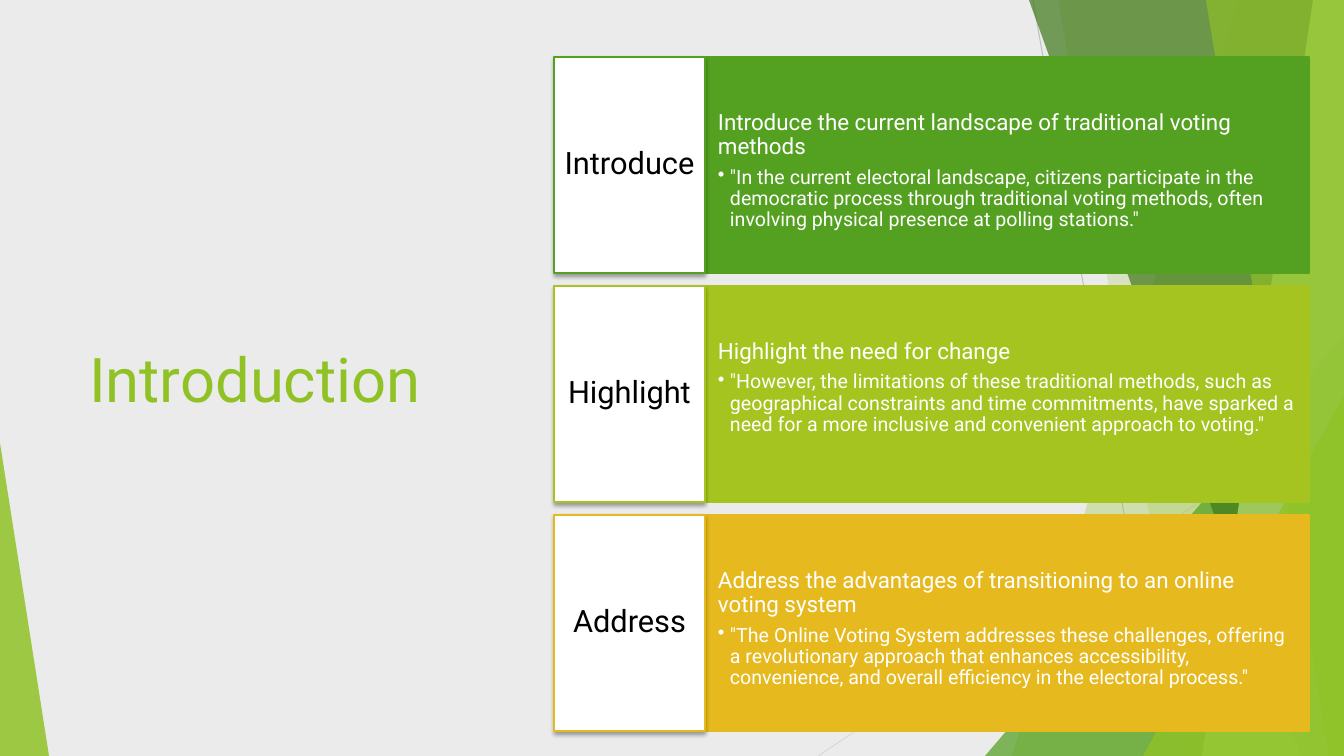
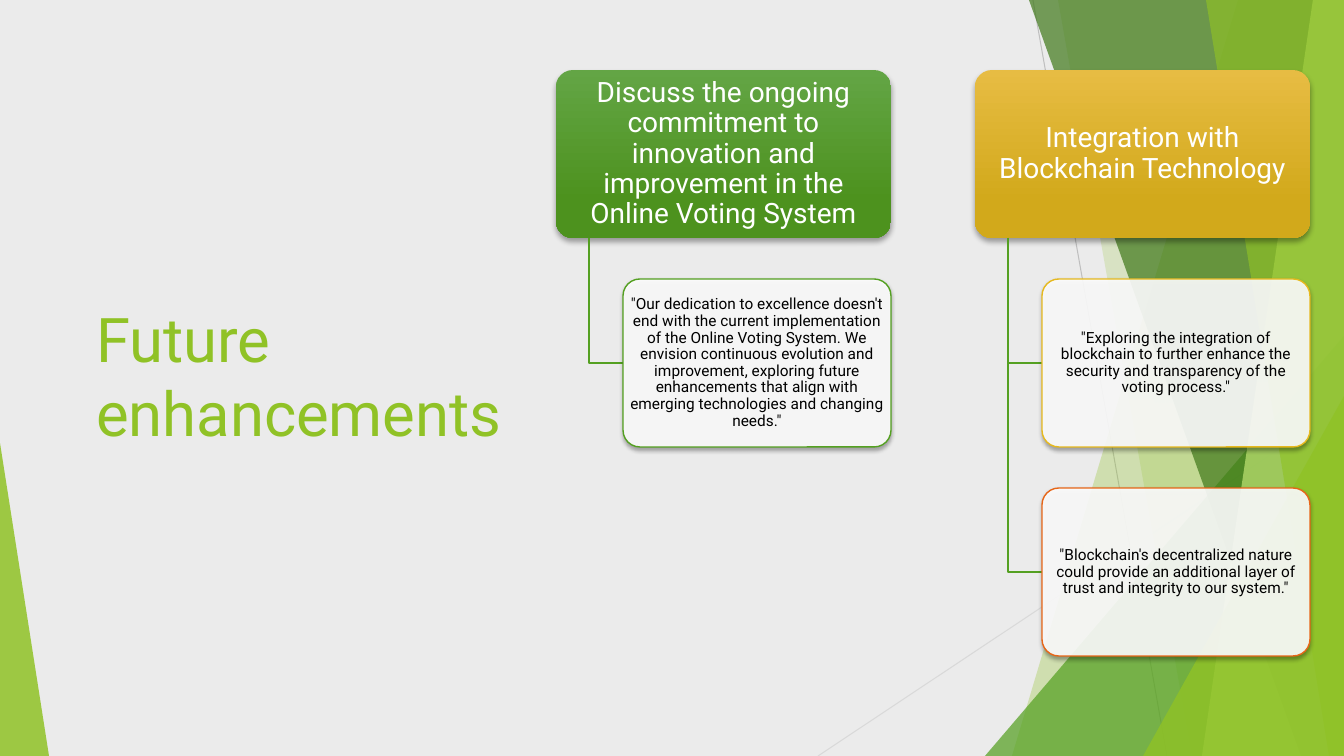
from lxml.etree import SubElement
from pptx import Presentation
from pptx.dml.color import RGBColor
from pptx.enum.shapes import MSO_CONNECTOR as LINK, MSO_SHAPE as SHAPE
from pptx.enum.text import MSO_ANCHOR as ANCHOR, MSO_AUTO_SIZE as FIT, PP_ALIGN as ALIGN
from pptx.oxml.ns import qn
from pptx.util import Pt

WIDTH, HEIGHT = 1344, 756
SCALE = 12192000 / WIDTH  # EMU in one px
FONT = "Roboto"
COLORS = {
    "paper": "EBEBEB", "white": "FFFFFF", "black": "000000",
    "leaf": "90C226", "green": "54A021", "forest": "3F7819", "mint": "C0E474",
    "lime": "A5C41F", "gold": "E6B91E", "orange": "E76618",
    "green top": "63A545", "green bottom": "4D921E",
    "gold top": "E7BC43", "gold bottom": "D2A91B",
    "line dark": "BFBFBF", "line light": "D9D9D9",
}
RGB = {name: RGBColor.from_string(value) for name, value in COLORS.items()}


def px(*lengths):
    return [round(length * SCALE) for length in lengths]


def paint(shape, fill, alpha=100, line=None, shadow=None):
    """Fill is a colour name or a (top, bottom) pair; shadow is (blur, distance) in points."""
    if isinstance(fill, tuple):
        shape.fill.gradient()
        shape.fill.gradient_angle = 270
        for stop, name, position in zip(shape.fill.gradient_stops, fill, (0, 0.78)):
            stop.color.rgb = RGB[name]
            stop.position = position
    else:
        shape.fill.solid()
        shape.fill.fore_color.rgb = RGB[fill]
    properties = shape.element.spPr
    if alpha < 100:
        color = properties.find(f"{qn('a:solidFill')}/{qn('a:srgbClr')}")
        SubElement(color, qn("a:alpha"), val=str(alpha * 1000))
    if line:
        shape.line.color.rgb = RGB[line]
        shape.line.width = Pt(1)
    else:
        shape.line.fill.background()
    shape.shadow.inherit = False
    if shadow:
        blur, distance = shadow
        outer = SubElement(properties.find(qn("a:effectLst")), qn("a:outerShdw"),
                           blurRad=str(Pt(blur)), dist=str(Pt(distance)),
                           dir="5400000", algn="ctr", rotWithShape="0")
        color = SubElement(outer, qn("a:srgbClr"), val=COLORS["black"])
        SubElement(color, qn("a:alpha"), val="35000")


deck = Presentation()
deck.slide_width, deck.slide_height = px(WIDTH, HEIGHT)
layout = deck.slide_layouts[5]
layout.background.fill.solid()
layout.background.fill.fore_color.rgb = RGB["paper"]

# Pages and their titles
pages = []
for heading, place in (("Introduction", (79, 57, 365, 641)),
                       ("Future enhancements", (86, 54, 435, 641))):
    page = deck.slides.add_slide(layout)
    title = page.shapes.title
    title.left, title.top, title.width, title.height = px(*place)
    frame = title.text_frame
    frame.text = heading
    frame.auto_size = FIT.NONE
    frame.vertical_anchor = ANCHOR.MIDDLE
    para = frame.paragraphs[0]
    para.alignment = ALIGN.LEFT
    para.font.name, para.font.size = FONT, Pt(44)
    para.font.color.rgb = RGB["leaf"]
    pages.append(page)
intro, future = pages

# Shared decoration: thin lines, slanted bands and corner triangles
decoration = []
for ends, name in (((1033, 0, 1167, HEIGHT), "line dark"),
                   ((WIDTH, 406, 818, HEIGHT), "line light")):
    line = intro.shapes.add_connector(LINK.STRAIGHT, *px(*ends))
    line.line.color.rgb = RGB[name]
    line.line.width = Pt(0.75)
    SubElement(line.element.spPr, qn("a:effectLst"))
    decoration.append(line)

# A band gives its top and bottom x; a triangle gives left, top, width, height, apex
for geometry, name, alpha in (
    ((1238, 1012), "leaf", 30),
    ((1058, 1192), "leaf", 20),
    ((985, 336, 359, 420, 1), "green", 72),
    ((1029, 1301), "forest", 70),
    ((1313, 1202), "mint", 70),
    ((1206, 1329), "leaf", 65),
    ((1143, 396, 201, 360, 1), "leaf", 80),
    ((0, 443, 49, 313, 0), "leaf", 85),
):
    if len(geometry) == 2:
        top_x, bottom_x = geometry
        outline = intro.shapes.build_freeform(top_x, 0, scale=SCALE)
        outline.add_line_segments([(WIDTH, 0), (WIDTH, HEIGHT), (bottom_x, HEIGHT)])
        shape = outline.convert_to_shape()
    else:
        *place, apex = geometry
        shape = intro.shapes.add_shape(SHAPE.ISOSCELES_TRIANGLE, *px(*place))
        shape.adjustments[0] = apex
    paint(shape, name, alpha)
    decoration.append(shape)

# The decoration belongs to the layout, behind its placeholders
for index, shape in enumerate(decoration):
    next(shape.element.iter(qn("p:cNvPr"))).set("id", str(100 + index))
    layout.shapes.element.insert(2 + index, shape.element)

# Introduction: three rows of label and panel
ROW_TOP, ROW_PITCH, ROW_HEIGHT = 57, 229, 216
rows = (
    ("Introduce", "green", "Introduce the current landscape of traditional voting methods",
     '"In the current electoral landscape, citizens participate in the democratic process '
     'through traditional voting methods, often involving physical presence at polling stations."'),
    ("Highlight", "lime", "Highlight the need for change",
     '"However, the limitations of these traditional methods, such as geographical constraints '
     'and time commitments, have sparked a need for a more inclusive and convenient approach '
     'to voting."'),
    ("Address", "gold", "Address the advantages of transitioning to an online voting system",
     '"The Online Voting System addresses these challenges, offering a revolutionary approach '
     'that enhances accessibility, convenience, and overall efficiency in the electoral process."'),
)
for index, (word, color, heading, quote) in enumerate(rows):
    top = ROW_TOP + index * ROW_PITCH
    panel = intro.shapes.add_shape(SHAPE.RECTANGLE, *px(706, top, 603, ROW_HEIGHT))
    paint(panel, color, line=color)
    label = intro.shapes.add_shape(SHAPE.RECTANGLE, *px(554, top, 151, ROW_HEIGHT))
    paint(label, "white", line=color, shadow=(3, 2))

    for box, side, edge, anchor, align, ink, texts in (
        (panel, 12, 54, ANCHOR.TOP, ALIGN.LEFT, "white", ((heading, 16), (quote, 14))),
        (label, 8, 21, ANCHOR.MIDDLE, ALIGN.CENTER, "black", ((word, 22),)),
    ):
        frame = box.text_frame
        frame.word_wrap = True
        frame.vertical_anchor = anchor
        frame.margin_left, frame.margin_right = px(side, side)
        frame.margin_top, frame.margin_bottom = px(edge, edge)
        frame.text = "\n".join(text for text, size in texts)
        for para, (text, size) in zip(frame.paragraphs, texts):
            para.alignment = align
            para.line_spacing = 0.9
            para.font.name, para.font.size = FONT, Pt(size)
            para.font.color.rgb = RGB[ink]

    first, bullet = panel.text_frame.paragraphs
    first.space_after = Pt(5.6)
    bullet.level = 1
    indent, = px(12)
    bullet_format = bullet._p.get_or_add_pPr()
    bullet_format.set("marL", str(indent))
    bullet_format.set("indent", str(-indent))
    SubElement(bullet_format, qn("a:buChar"), char="•")
    # The bullet mark precedes the default run properties
    bullet_format.append(bullet_format.find(qn("a:defRPr")))

# Future enhancements: two headers, each with its branch of cards
TREE_LEFT, TREE_TOP, COLUMN_PITCH, CARD_PITCH = 556, 70, 419, 209
HEADER_WIDTH, CARD_HEIGHT, STEM, CARD_INDENT = 335, 168, 33, 67
columns = (
    ("Discuss the ongoing commitment to innovation and improvement in the Online Voting System",
     ("green top", "green bottom"),
     (('"Our dedication to excellence doesn\'t end with the current implementation of the Online '
       'Voting System. We envision continuous evolution and improvement, exploring future '
       'enhancements that align with emerging technologies and changing needs."', "green"),)),
    ("Integration with Blockchain Technology",
     ("gold top", "gold bottom"),
     (('"Exploring the integration of blockchain to further enhance the security and '
       'transparency of the voting process."', "gold"),
      ('"Blockchain\'s decentralized nature could provide an additional layer of trust and '
       'integrity to our system."', "orange"))),
)
for column, (heading, gradient, cards) in enumerate(columns):
    left = TREE_LEFT + column * COLUMN_PITCH
    for level, (text, edge) in enumerate(((heading, None), *cards)):
        top = TREE_TOP + level * CARD_PITCH
        indent = CARD_INDENT if level else 0
        if level:
            branch = future.shapes.build_freeform(left + STEM, TREE_TOP + CARD_HEIGHT, scale=SCALE)
            middle = top + CARD_HEIGHT // 2
            branch.add_line_segments([(left + STEM, middle), (left + indent, middle)], close=False)
            elbow = branch.convert_to_shape()
            elbow.fill.background()
            elbow.line.color.rgb = RGB["green"]
            elbow.line.width = Pt(1.5)
            elbow.shadow.inherit = False

        box = future.shapes.add_shape(
            SHAPE.ROUNDED_RECTANGLE, *px(left + indent, top, HEADER_WIDTH - indent, CARD_HEIGHT))
        box.adjustments[0] = 0.1
        if level:
            paint(box, "white", alpha=90, line=edge, shadow=(3, 2))
            ink, size, margin = "black", 11, 2
        else:
            paint(box, gradient, shadow=(4, 3))
            ink, size, margin = "white", 20, 4

        frame = box.text_frame
        frame.word_wrap = True
        frame.vertical_anchor = ANCHOR.MIDDLE
        frame.margin_left, frame.margin_right = px(margin, margin)
        frame.margin_top, frame.margin_bottom = px(margin, margin)
        frame.text = text
        para = frame.paragraphs[0]
        para.alignment = ALIGN.CENTER
        para.line_spacing = 0.9
        para.font.name, para.font.size = FONT, Pt(size)
        para.font.color.rgb = RGB[ink]

deck.save("out.pptx")
